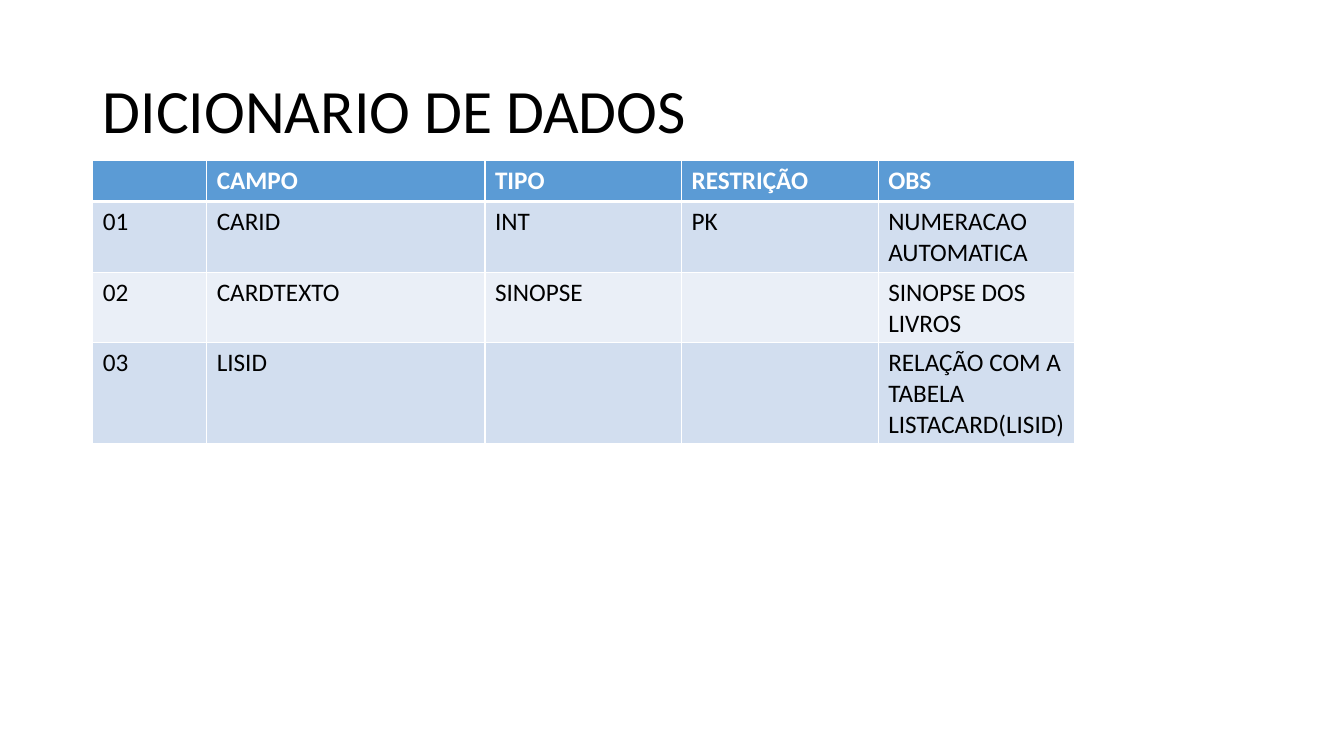
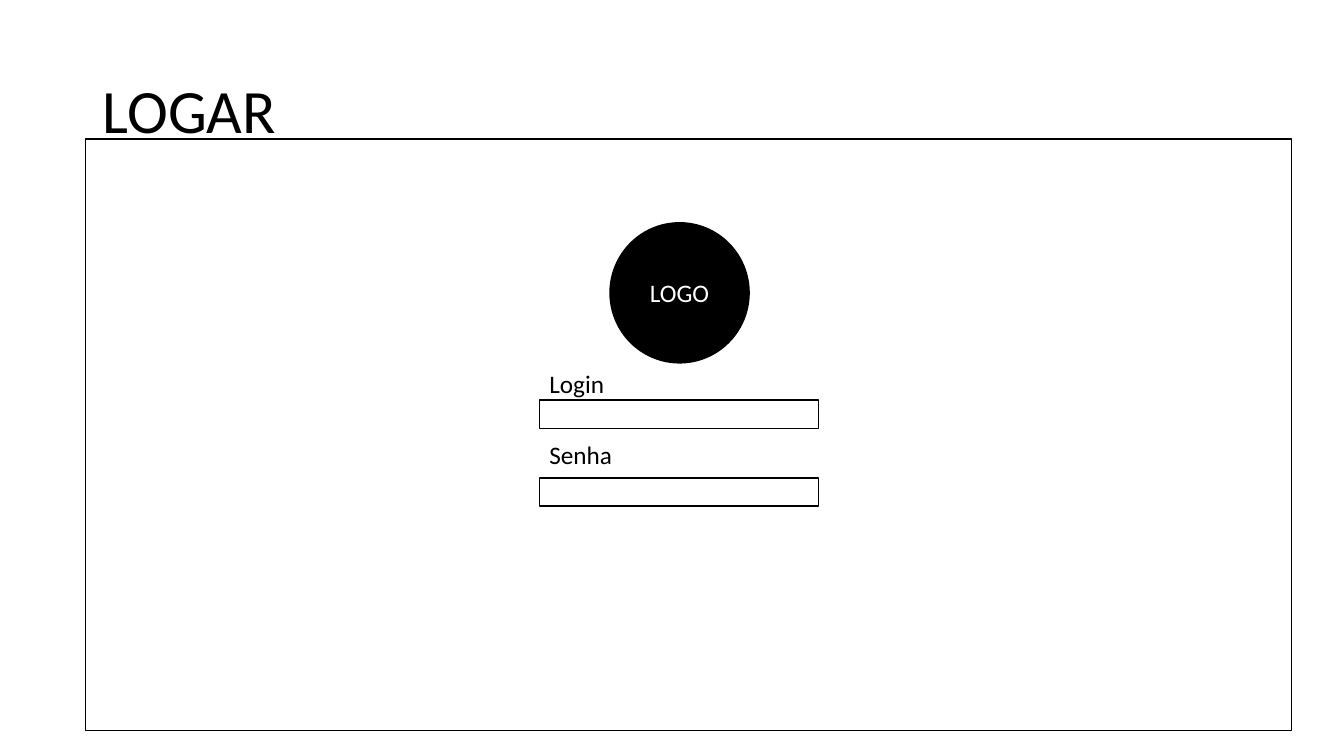
from lxml.etree import SubElement
from pptx import Presentation
from pptx.dml.color import RGBColor
from pptx.enum.shapes import MSO_SHAPE as Shape
from pptx.enum.text import MSO_ANCHOR as Anchor, MSO_AUTO_SIZE as AutoSize, PP_ALIGN as Align
from pptx.oxml.ns import qn
from pptx.util import Inches, Pt

BLACK = RGBColor(0x00, 0x00, 0x00)
WHITE = RGBColor(0xFF, 0xFF, 0xFF)
HEADER_BLUE = RGBColor(0x5B, 0x9B, 0xD5)
BAND_DARK = RGBColor(0xD2, 0xDE, 0xEF)
BAND_LIGHT = RGBColor(0xEA, 0xEF, 0xF7)


class Deck:
    """Holds the shared style and the current slide."""

    font = "Calibri"
    title_size = 44
    body_size = 18

    def __init__(self):
        self.prs = Presentation()
        self.prs.slide_width, self.prs.slide_height = Inches(13.33), Inches(7.5)
        self.slide = None

    def add_slide(self, title):
        self.slide = self.prs.slides.add_slide(self.prs.slide_layouts[6])
        frame = self.text(title, 0.92, 0.4, 11.5, 1.45, size=self.title_size)
        frame.vertical_anchor = Anchor.MIDDLE
        frame.paragraphs[0].line_spacing = 0.9

    def fill_text(self, frame, words, color=BLACK, size=body_size, bold=False):
        frame.text = words
        font = frame.paragraphs[0].font
        if words:
            font = frame.paragraphs[0].runs[0].font
        font.name, font.size, font.bold = self.font, Pt(size), bold
        font.color.rgb = color

    def text(self, words, left, top, width, height, size=body_size):
        box = self.slide.shapes.add_textbox(
            Inches(left), Inches(top), Inches(width), Inches(height))
        box.text_frame.word_wrap = True
        self.fill_text(box.text_frame, words, size=size)
        return box.text_frame

    def label(self, words, left, top, width):
        frame = self.text(words, left, top, width, 0.4)
        frame.word_wrap = False
        frame.auto_size = AutoSize.SHAPE_TO_FIT_TEXT

    def shape(self, kind, left, top, width, height, fill=WHITE, words=""):
        shape = self.slide.shapes.add_shape(
            kind, Inches(left), Inches(top), Inches(width), Inches(height))
        shape.shadow.inherit = False
        shape.fill.solid()
        shape.fill.fore_color.rgb = fill
        shape.line.color.rgb = BLACK
        shape.line.width = Pt(1)
        if words:
            self.fill_text(shape.text_frame, words, color=WHITE)
            shape.text_frame.vertical_anchor = Anchor.MIDDLE
            shape.text_frame.paragraphs[0].alignment = Align.CENTER

    def borders(self, cell, top, bottom):
        properties = cell._tc.get_or_add_tcPr()
        for side, points in (("L", 1), ("R", 1), ("T", top), ("B", bottom)):
            line = SubElement(properties, qn(f"a:ln{side}"), w=str(Pt(points)))
            SubElement(SubElement(line, qn("a:solidFill")), qn("a:srgbClr"), val=str(WHITE))

    def table(self, rows, left, top, column_widths, row_height):
        table = self.slide.shapes.add_table(
            len(rows), len(column_widths), Inches(left), Inches(top),
            Inches(sum(column_widths)), Inches(row_height * len(rows))).table
        for column, width in zip(table.columns, column_widths):
            column.width = Inches(width)
        for r, row in enumerate(rows):
            header = r == 0
            band = BAND_DARK if r % 2 else BAND_LIGHT
            for c, words in enumerate(row):
                cell = table.cell(r, c)
                self.borders(cell, top=3 if r == 1 else 1, bottom=3 if header else 1)
                cell.fill.solid()
                cell.fill.fore_color.rgb = HEADER_BLUE if header else band
                self.fill_text(cell.text_frame, words,
                               color=WHITE if header else BLACK, bold=header)


def data_dictionary(deck):
    deck.add_slide("DICIONARIO DE DADOS")
    fields = [
        ("", "CAMPO", "TIPO", "RESTRIÇÃO", "OBS"),
        ("01", "CARID", "INT", "PK", "NUMERACAO AUTOMATICA"),
        ("02", "CARDTEXTO", "SINOPSE", "", "SINOPSE DOS LIVROS"),
        ("03", "LISID", "", "", "RELAÇÃO COM A TABELA LISTACARD(LISID)"),
    ]
    deck.table(fields, 0.92, 1.59, [1.13, 2.76, 1.95, 1.95, 1.95], 0.41)


def login_screen(deck):
    deck.add_slide("LOGAR")

    # Screen frame and logo placeholder
    deck.shape(Shape.RECTANGLE, 0.85, 1.38, 11.96, 5.87)
    deck.shape(Shape.OVAL, 6.05, 2.21, 1.38, 1.39, fill=BLACK, words="LOGO")

    # Input fields with their labels
    form_left = 5.35
    for words, label_top, label_width, field_top in (
            ("Login", 3.61, 0.75, 3.97), ("Senha", 4.31, 0.83, 4.74)):
        deck.shape(Shape.RECTANGLE, form_left, field_top, 2.77, 0.28)
        deck.label(words, form_left, label_top, label_width)


def main():
    deck = Deck()
    data_dictionary(deck)
    login_screen(deck)
    deck.prs.save("out.pptx")


if __name__ == "__main__":
    main()
